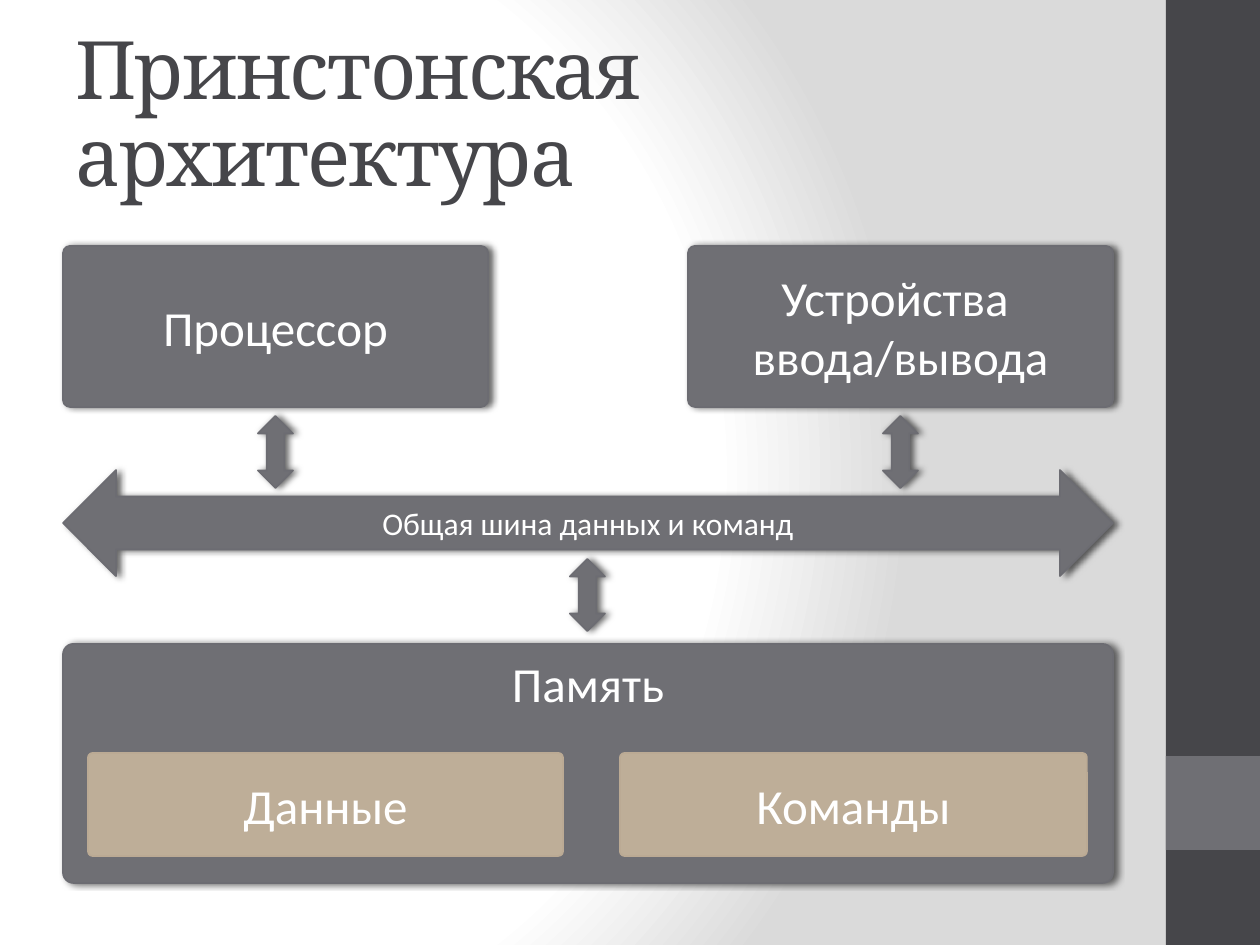
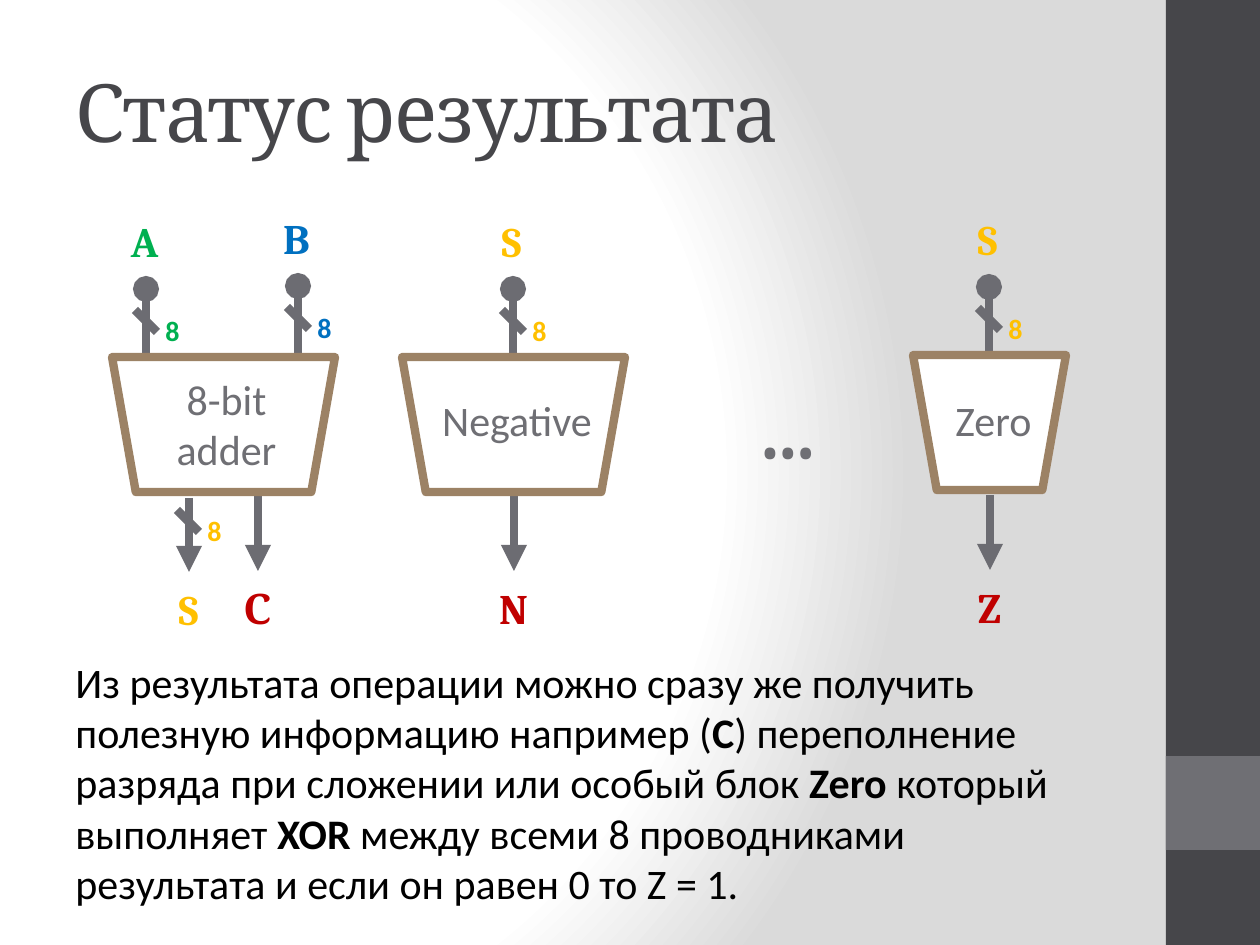
from pptx import Presentation
from pptx.dml.color import RGBColor
from pptx.enum.shapes import MSO_CONNECTOR, MSO_SHAPE
from pptx.enum.text import MSO_ANCHOR, PP_ALIGN
from pptx.oxml import parse_xml
from pptx.oxml.ns import nsdecls, qn
from pptx.util import Emu, Pt

PX_PER_INCH = 126
COLORS = {
    "white": "FFFFFF", "black": "000000", "fade": "DADADA",
    "dark": "46464A", "grey": "6F6F74", "wire": "6C6C72",
    "sand": "BEAE98", "sand_line": "BBAA94", "brown": "9C8265",
    "green": "00B050", "blue": "0070C0", "yellow": "FFC000", "red": "C00000",
}
SERIF, SANS = "Cambria", "Calibri"
LEFT, CONTENT_W = 63, 1050


def px(n):
    return Emu(round(n * 914400 / PX_PER_INCH))


def rgb(name):
    return RGBColor.from_string(COLORS[name])


def format_run(r, size, font, color, bold=False, spacing=None):
    r.font.size = Pt(size)
    r.font.name = font
    r.font.bold = bold
    r.font.color.rgb = rgb(color)
    if spacing:
        r._r.get_or_add_rPr().set("spc", str(spacing * 100))


def set_text(tf, text, size, font, color, align=PP_ALIGN.CENTER,
             anchor=MSO_ANCHOR.MIDDLE, bold=False, spacing=None, wrap=True):
    tf.word_wrap = wrap
    tf.vertical_anchor = anchor
    tf.text = text
    for p in tf.paragraphs:
        p.alignment = align
        for r in p.runs:
            format_run(r, size, font, color, bold, spacing)


def add_text(s, box, text, size, font, color, **style):
    tb = s.shapes.add_textbox(*map(px, box))
    set_text(tb.text_frame, text, size, font, color, **style)
    return tb


def add_shape(s, kind, box, fill, line=None, width=1, shadow=False):
    sp = s.shapes.add_shape(kind, *map(px, box))
    sp.fill.solid()
    sp.fill.fore_color.rgb = rgb(fill)
    if line:
        sp.line.color.rgb = rgb(line)
        sp.line.width = Pt(width)
    else:
        sp.line.fill.background()
    sp.shadow.inherit = False
    if shadow:
        sp._element.spPr.find(qn("a:effectLst")).append(parse_xml(
            f'<a:outerShdw {nsdecls("a")} blurRad="{Pt(4)}" dist="{Pt(2)}" dir="0">'
            f'<a:srgbClr val="{COLORS["black"]}"><a:alpha val="60000"/></a:srgbClr>'
            '</a:outerShdw>'))
    return sp


def add_block(s, box, text, fill="grey", line="wire", shadow=True,
              anchor=MSO_ANCHOR.MIDDLE):
    sp = add_shape(s, MSO_SHAPE.ROUNDED_RECTANGLE, box, fill, line, shadow=shadow)
    sp.adjustments[0] = 0.044
    set_text(sp.text_frame, text, 28, SANS, "white", anchor=anchor)


def add_wire(s, x1, y1, x2, y2, tail=None):
    c = s.shapes.add_connector(MSO_CONNECTOR.STRAIGHT, *map(px, (x1, y1, x2, y2)))
    c.line.color.rgb = rgb("wire")
    c.line.width = Pt(5)
    spPr = c._element.spPr
    if tail:
        spPr.find(qn("a:ln")).append(
            parse_xml(f'<a:tailEnd {nsdecls("a")} type="{tail}"/>'))
    spPr.append(parse_xml(f'<a:effectLst {nsdecls("a")}/>'))


def add_bus_mark(s, x, y, color):
    """Slash across a wire with its width of 8 bits."""
    add_wire(s, x - 11, y, x + 11, y + 22)
    add_text(s, (x + 7, y - 3, 40, 47), "8", 16, SANS, color, bold=True,
             align=PP_ALIGN.LEFT, anchor=MSO_ANCHOR.TOP, wrap=False)


def add_signal(s, box, name, color):
    add_text(s, box, name, 24, SERIF, color, bold=True, spacing=-1)


def add_input(s, x, y, name, color):
    add_wire(s, x, 353, x, y, "oval")
    add_signal(s, (x - 41, y - 68, 79, 39), name, color)
    add_bus_mark(s, x, y + 21, color)


def add_output(s, x, top, tip, name, color):
    add_wire(s, x, top, x, tip, "triangle")
    add_signal(s, (x - 42, tip + 18, 83, 38), name, color)


def add_unit(s, box, label_box, text):
    sp = add_shape(s, MSO_SHAPE.TRAPEZOID, box, "white", "brown", 4.75)
    sp.adjustments[0] = 0.176
    sp.rotation = 180
    add_text(s, label_box, text, 24, SANS, "grey", anchor=MSO_ANCHOR.TOP)


def set_background(master):
    master.background.fill.solid()
    bgPr = master._element.xpath(".//p:bgPr")[0]
    stops = "".join(
        f'<a:gs pos="{pos}000"><a:srgbClr val="{COLORS[c]}"/></a:gs>'
        for pos, c in ((0, "white"), (75, "white"), (100, "fade")))
    bgPr.replace(bgPr[0], parse_xml(
        f'<a:gradFill {nsdecls("a")} rotWithShape="1"><a:gsLst>{stops}</a:gsLst>'
        '<a:path path="circle"><a:fillToRect l="20000" t="50000" r="100000" b="50000"/>'
        '</a:path></a:gradFill>'))


def add_slide(prs, title):
    s = prs.slides.add_slide(prs.slide_layouts[6])
    add_shape(s, MSO_SHAPE.RECTANGLE, (1166, 0, 94, 945), "dark")
    add_shape(s, MSO_SHAPE.RECTANGLE, (1166, 756, 94, 94), "grey")
    tb = add_text(s, (LEFT, 38, CONTENT_W, 157), title, 46, SERIF, "dark",
                  align=PP_ALIGN.LEFT, spacing=-1)
    tb.text_frame.paragraphs[0].line_spacing = 0.9
    return s


def build_princeton(prs):
    s = add_slide(prs, "Принстонская архитектура")
    add_block(s, (LEFT, 246, 425, 161), "Процессор")
    add_block(s, (688, 246, 425, 161), "Устройства \vввода/вывода")
    add_block(s, (LEFT, 644, CONTENT_W, 239), "Память", anchor=MSO_ANCHOR.TOP)
    for x, w, text in ((88, 475, "Данные"), (620, 467, "Команды")):
        add_block(s, (x, 753, w, 103), text, "sand", "sand_line", shadow=False)
    bus = add_shape(s, MSO_SHAPE.LEFT_RIGHT_ARROW, (LEFT, 470, CONTENT_W, 106),
                    "grey", "wire", shadow=True)
    set_text(bus.text_frame, "Общая шина данных и команд", 18, SANS, "white")
    for x, y in ((258, 416), (883, 416), (570, 559)):
        add_shape(s, MSO_SHAPE.UP_DOWN_ARROW, (x, y, 35, 72), "grey", "wire",
                  shadow=True)


def build_status(prs):
    s = add_slide(prs, "Статус результата")
    for x, y, name, color in ((146, 289, "A", "green"), (298, 286, "B", "blue"),
                              (513, 289, "S", "yellow"), (989, 287, "S", "yellow")):
        add_input(s, x, y, name, color)
    for x, top, tip, name, color in ((189, 498, 572, "S", "yellow"),
                                     (258, 496, 571, "С", "red"),
                                     (514, 495, 571, "N", "red"),
                                     (990, 495, 570, "Z", "red")):
        add_output(s, x, top, tip, name, color)
    add_bus_mark(s, 188, 510, "yellow")
    add_unit(s, (112, 357, 223, 135), (149, 367, 155, 115), "8-bit adder")
    add_unit(s, (402, 357, 223, 135), (423, 388, 188, 115), "Negative")
    add_unit(s, (913, 355, 153, 135), (916, 388, 155, 63), "Zero")
    add_text(s, (745, 402, 86, 53), "…", 44, SERIF, "grey", bold=True, spacing=-1)

    tf = s.shapes.add_textbox(*map(px, (LEFT, 650, CONTENT_W, 267))).text_frame
    tf.word_wrap = True
    for text, bold in (
            ("Из результата операции можно сразу же получить полезную "
             "информацию например (", False),
            ("C", True),
            (") переполнение разряда при сложении или особый блок ", False),
            ("Zero ", True),
            ("который выполняет ", False),
            ("XOR ", True),
            ("между всеми 8 проводниками результата и если он равен 0 "
             "то Z = 1.", False)):
        r = tf.paragraphs[0].add_run()
        r.text = text
        format_run(r, 24, SANS, "black", bold)


def main():
    prs = Presentation()
    prs.slide_width, prs.slide_height = px(1260), px(945)
    set_background(prs.slide_master)
    build_princeton(prs)
    build_status(prs)
    prs.save("out.pptx")


if __name__ == "__main__":
    main()
